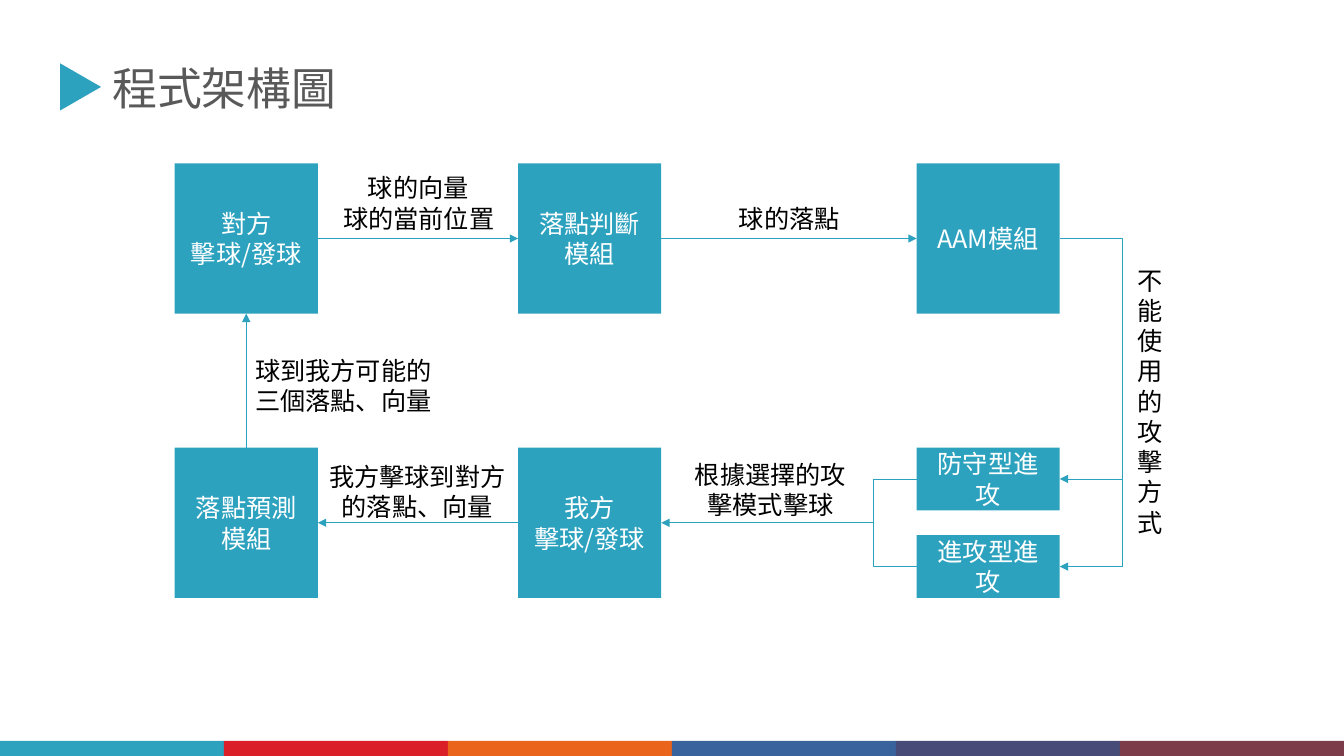
"""Build the program architecture slide: modules linked into a loop by labelled arrows."""
from pptx import Presentation
from pptx.dml.color import RGBColor
from pptx.enum.shapes import MSO_CONNECTOR as Connector, MSO_SHAPE as Shape
from pptx.enum.text import MSO_ANCHOR as Anchor, PP_ALIGN as Align
from pptx.oxml.ns import qn
from pptx.util import Inches, Pt
from lxml.etree import SubElement

TEAL = RGBColor(0x2D, 0xA2, 0xBF)
RED = RGBColor(0xDA, 0x1F, 0x28)
ORANGE = RGBColor(0xEB, 0x64, 0x1B)
BLUE = RGBColor(0x39, 0x63, 0x9D)
INDIGO = RGBColor(0x47, 0x4B, 0x78)
MAROON = RGBColor(0x7D, 0x3C, 0x4A)
GRAY = RGBColor(0x59, 0x59, 0x59)
BLACK = RGBColor(0, 0, 0)
WHITE = RGBColor(0xFF, 0xFF, 0xFF)

FONT = "Noto Sans CJK SC"
TOP, LEFT, BOTTOM, RIGHT = range(4)


class Diagram:
    def __init__(self, presentation):
        self.slide = presentation.slides.add_slide(presentation.slide_layouts[5])
        self.column = presentation.slide_width / 100
        self.row = presentation.slide_height / 100

    def place(self, x, y, width, height):
        return (round(x * self.column), round(y * self.row),
                round(width * self.column), round(height * self.row))

    def set_text(self, shape, lines, size, color, align, anchor, wrap=True):
        frame = shape.text_frame
        frame.word_wrap = wrap
        frame.vertical_anchor = anchor
        for index, line in enumerate(lines):
            paragraph = frame.add_paragraph() if index else frame.paragraphs[0]
            paragraph.alignment = align
            run = paragraph.add_run()
            run.text = line
            run.font.name = FONT
            run.font.size = Pt(size)
            run.font.color.rgb = color
            SubElement(run.font._element, qn("a:ea")).set("typeface", FONT)

    def title(self, text, x, y, width, height):
        title = self.slide.shapes.title
        title.left, title.top, title.width, title.height = self.place(x, y, width, height)
        self.set_text(title, [text], 32, GRAY, Align.LEFT, Anchor.TOP)

    def block(self, kind, color, x, y, width, height):
        shape = self.slide.shapes.add_shape(kind, *self.place(x, y, width, height))
        shape.shadow.inherit = False
        shape.fill.solid()
        shape.fill.fore_color.rgb = color
        shape.line.fill.background()
        return shape

    def module(self, lines, x, y, width, height):
        shape = self.block(Shape.RECTANGLE, TEAL, x, y, width, height)
        self.set_text(shape, lines, 18, WHITE, Align.CENTER, Anchor.MIDDLE)
        return shape

    def label(self, lines, x, y, width, height, wrap=True):
        box = self.slide.shapes.add_textbox(*self.place(x, y, width, height))
        self.set_text(box, lines, 18, BLACK, Align.CENTER, Anchor.TOP, wrap)

    def line(self, start=(0, 0), end=(0, 0), arrow=True, elbow=False):
        kind = Connector.ELBOW if elbow else Connector.STRAIGHT
        connector = self.slide.shapes.add_connector(kind, *self.place(*start, *end))
        connector.line.color.rgb = TEAL
        connector.line.width = Pt(0.5)
        properties = connector._element.spPr
        if elbow:
            properties.find(qn("a:prstGeom")).set("prst", "bentConnector2")
        if arrow:
            outline = properties.find(qn("a:ln"))
            SubElement(outline, qn("a:tailEnd")).set("type", "triangle")
        SubElement(properties, qn("a:effectLst"))
        return connector

    def link(self, source, source_side, target, target_side):
        connector = self.line()
        connector.begin_connect(source, source_side)
        connector.end_connect(target, target_side)


presentation = Presentation()
presentation.slide_width, presentation.slide_height = Inches(13.33), Inches(7.5)
diagram = Diagram(presentation)

diagram.title("程式架構圖", 7.6, 7.3, 24.4, 8.5)
diagram.block(Shape.ISOSCELES_TRIANGLE, TEAL, 4.25, 8.8, 3.5, 5.4).rotation = 90

stripes = [TEAL, RED, ORANGE, BLUE, INDIGO, MAROON]
stripe_width = 100 / len(stripes)
for index, color in enumerate(stripes):
    diagram.block(Shape.RECTANGLE, color, index * stripe_width, 98, stripe_width, 2)

first, second, third = 13, 38.55, 68.2
upper, lower = 21.6, 59.2
width, height, option_height = 10.65, 19.9, 8.3
option_tops = [lower, lower + height - option_height]

opponent = diagram.module(["對方", "擊球/發球"], first, upper, width, height)
judgement = diagram.module(["落點判斷模組"], second, upper, width, height)
attack = diagram.module(["AAM模組"], third, upper, width, height)
prediction = diagram.module(["落點預測模組"], first, lower, width, height)
ours = diagram.module(["我方", "擊球/發球"], second, lower, width, height)

diagram.link(opponent, RIGHT, judgement, LEFT)
diagram.link(judgement, RIGHT, attack, LEFT)
diagram.link(ours, LEFT, prediction, RIGHT)
diagram.link(prediction, TOP, opponent, BOTTOM)

upper_middle, lower_middle = upper + height / 2, lower + height / 2
split, merge = 83.5, 65
third_right = third + width
for name, top in zip(["防守型進攻", "進攻型進攻"], option_tops):
    middle = top + option_height / 2
    diagram.module([name], third, top, width, option_height)
    diagram.line((split, middle), (third_right, middle))
    diagram.line((third, middle), (merge, lower_middle), arrow=False, elbow=True)
diagram.line((third_right, upper_middle), (split, middle), arrow=False, elbow=True)
diagram.line((merge, lower_middle), (second + width, lower_middle))

diagram.label(["球的向量"], 26.4, 22.1, 9.45, 5.3)
diagram.label(["球的當前位置"], 24.7, 26.3, 12.9, 5.3, wrap=False)
diagram.label(["球的落點"], 54, 26.3, 9.45, 5.3)
diagram.label(["球到我方可能的三個落點、向量"], 17.8, 46.3, 15.5, 9.5)
diagram.label(["我方擊球到對方的落點、向量"], 23.3, 60.4, 15.5, 9.5)
diagram.label(["根據選擇的攻擊模式擊球"], 50.2, 60.1, 14.25, 9.5)
diagram.label("不能使用的攻擊方式", 79.5, 34.4, 12.2, 37.7)

presentation.save("out.pptx")
